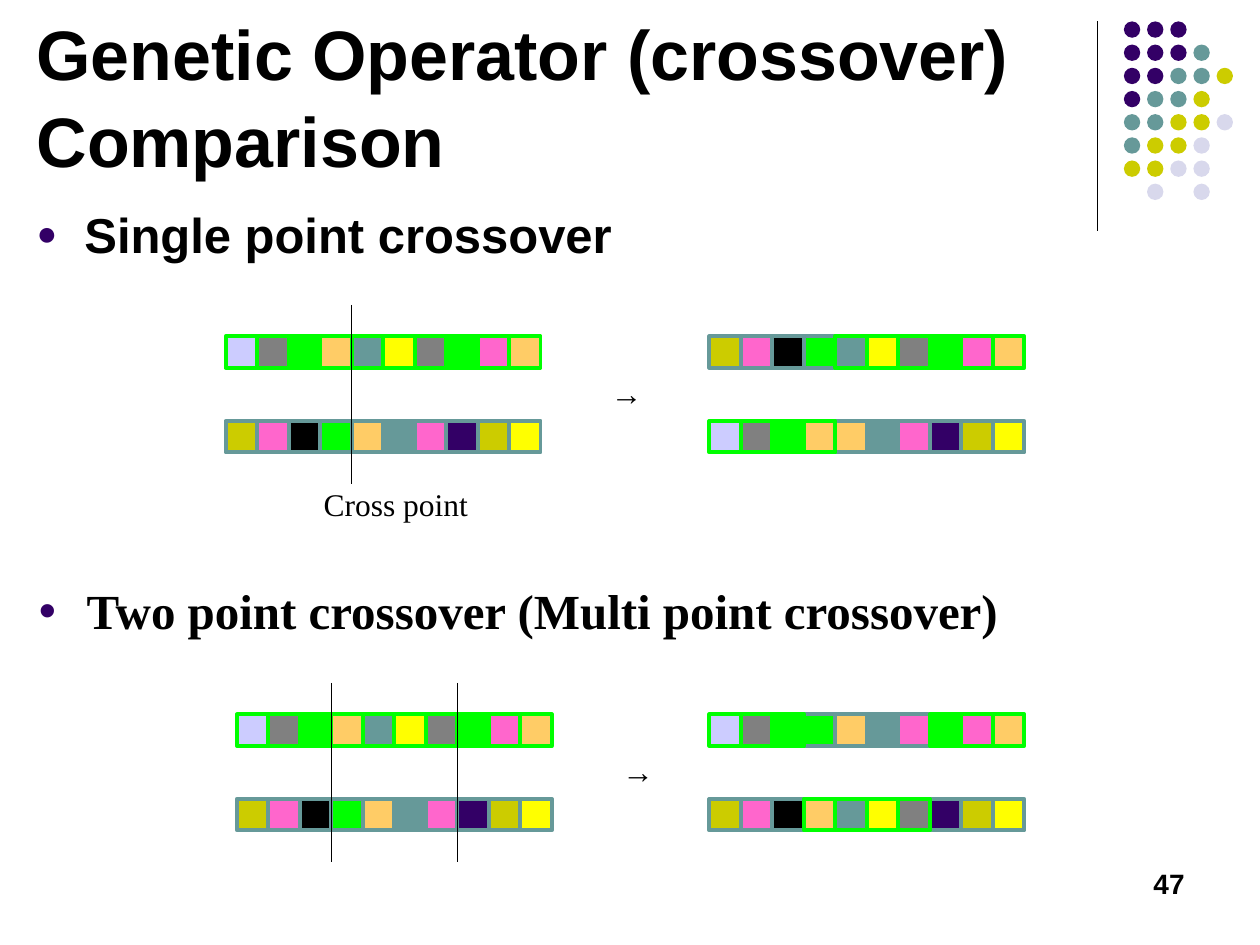
from itertools import product
from lxml.etree import SubElement
from pptx import Presentation
from pptx.dml.color import RGBColor
from pptx.enum.shapes import MSO_CONNECTOR as Connector, MSO_SHAPE as Shape
from pptx.enum.text import MSO_ANCHOR as Anchor, MSO_AUTO_SIZE as AutoSize, PP_ALIGN as Align
from pptx.oxml.ns import qn
from pptx.util import Inches, Pt

WIDTH, HEIGHT = 10, 7.5
GENE = 0.25
STRIP_GAP = 0.67
CHILD_LEFT = 5.63
INK, GREEN, SLATE, PURPLE, OLIVE = "000000", "00FF00", "669999", "330066", "CCCC00"
PINK, PEACH, YELLOW, GRAY, LILAC = "FF66CC", "FFCC66", "FFFF00", "808080", "CCCCFF"
PALE = "D8D8EC"

GREEN_PARENT = [(fill, GREEN) for fill in
                (LILAC, GRAY, GREEN, PEACH, SLATE, YELLOW, GRAY, GREEN, PINK, PEACH)]
SLATE_PARENT = [(fill, SLATE) for fill in
                (OLIVE, PINK, INK, GREEN, PEACH, SLATE, PINK, PURPLE, OLIVE, YELLOW)]
DOT_COLORS = {"P": PURPLE, "S": SLATE, "O": OLIVE, "L": PALE}
DOT_ROWS = ["PPP", "PPPS", "PPSSO", "PSSO", "SSOOL", "SOOL", "OOLL", " L L"]


def color(hex_string):
    return RGBColor.from_string(hex_string)


def place(part, box):
    for side, length in zip(("left", "top", "width", "height"), box):
        setattr(part, side, Inches(length))


def write(part, text, size, font="Arial", bold=False, **paragraph_format):
    frame = part.text_frame
    frame.auto_size = AutoSize.NONE
    frame.text = text
    paragraph = frame.paragraphs[0]
    for name, value in paragraph_format.items():
        setattr(paragraph, name, value)
    for name, value in {"name": font, "size": Pt(size), "bold": bold}.items():
        setattr(paragraph.runs[0].font, name, value)
    paragraph.runs[0].font.color.rgb = color(INK)
    return paragraph


def add_bullet(paragraph, mark, percent):
    properties = paragraph._p.get_or_add_pPr()
    properties.set("marL", str(Inches(0.38)))
    properties.set("indent", str(-Inches(0.38)))
    bullet_color = SubElement(properties, qn("a:buClr"))
    SubElement(bullet_color, qn("a:srgbClr"), val=PURPLE)
    SubElement(properties, qn("a:buSzPct"), val=str(percent * 1000))
    SubElement(properties, qn("a:buFont"), typeface="Arial")
    SubElement(properties, qn("a:buChar"), char=mark)


def add_label(slide, box, text, size, wrap=False, **text_format):
    label = slide.shapes.add_textbox(0, 0, 0, 0)
    place(label, box)
    label.text_frame.word_wrap = wrap
    return write(label, text, size, **text_format)


def add_vertical(slide, x, top, bottom, weight):
    line = slide.shapes.add_connector(
        Connector.STRAIGHT, *map(Inches, (x, top, x, bottom)))
    line.line.color.rgb = color(INK)
    line.line.width = Pt(weight)
    SubElement(line._element.spPr, qn("a:effectLst"))


def add_solid(group, kind, box, fill, outline=None):
    solid = group.shapes.add_shape(kind, *map(Inches, box))
    solid.shadow.inherit = False
    solid.fill.solid()
    solid.fill.fore_color.rgb = color(fill)
    if outline:
        solid.line.color.rgb = color(outline)
        solid.line.width = Pt(2.25)
    else:
        solid.line.fill.background()


def add_corner(slide, left, top, pitch=0.184, dot=0.13):
    add_vertical(slide, left - 0.21, top, top + 1.66, 0.75)
    dots = slide.shapes.add_group_shape()
    for row, marks in enumerate(DOT_ROWS):
        for column, mark in enumerate(marks):
            if mark in DOT_COLORS:
                box = (left + column * pitch, top + row * pitch, dot, dot)
                add_solid(dots, Shape.OVAL, box, DOT_COLORS[mark])


def add_strips(slide, left, top, strips):
    group = slide.shapes.add_group_shape()
    for outline, (row, strip) in product((SLATE, GREEN), enumerate(strips)):
        for column, (fill, parent) in enumerate(strip):
            if parent == outline:
                box = (left + column * GENE, top + row * STRIP_GAP, GENE, GENE)
                add_solid(group, Shape.RECTANGLE, box, fill, outline)


def cross(first, second, cuts):
    for cut in cuts:
        first, second = first[:cut] + second[cut:], second[:cut] + first[cut:]
    return first, second


def add_crossover(slide, left, top, cuts, swapped=False):
    parents = GREEN_PARENT, SLATE_PARENT
    children = cross(*parents, cuts)
    add_strips(slide, left, top, parents)
    add_strips(slide, CHILD_LEFT, top, children[::-1] if swapped else children)
    for cut in cuts:
        add_vertical(slide, left + cut * GENE, top - GENE, top + 1.17, 1)
    add_label(slide, (left + 2.96, top + GENE, 0.45, 0.4), "→", 18)


def add_headings(slide):
    title, body = slide.placeholders
    place(title, (0.19, 0.08, 8.8, 1.41))
    title.text_frame.vertical_anchor = Anchor.BOTTOM
    write(title, "Genetic Operator (crossover) Comparison", 40, bold=True,
          alignment=Align.LEFT, line_spacing=1.04)
    place(body, (0.19, 1.53, 9.55, 0.86))
    body.text_frame.margin_top = Inches(0.09)
    single = write(body, "Single point crossover", 28, bold=True, space_before=Pt(0))
    add_bullet(single, "●", 70)
    double = add_label(slide, (0.21, 4.61, 8.5, 0.67),
                       "Two point crossover (Multi point crossover)", 28, wrap=True,
                       font="Times New Roman", bold=True, line_spacing=0.9)
    add_bullet(double, "•", 100)


def main():
    deck = Presentation()
    deck.slide_width, deck.slide_height = Inches(WIDTH), Inches(HEIGHT)
    slide = deck.slides.add_slide(deck.slide_layouts[1])
    add_corner(slide, 8.92, 0.17)
    add_headings(slide)
    add_crossover(slide, 1.79, 2.67, [4], swapped=True)
    add_label(slide, (2.47, 3.8, 1.34, 0.4), "Cross point", 18, font="Times New Roman")
    add_crossover(slide, 1.88, 5.67, [3, 7])
    add_label(slide, (7.17, 6.83, 2.33, 0.5), "47", 16, wrap=True, bold=True,
              alignment=Align.RIGHT)
    deck.save("out.pptx")


if __name__ == "__main__":
    main()
